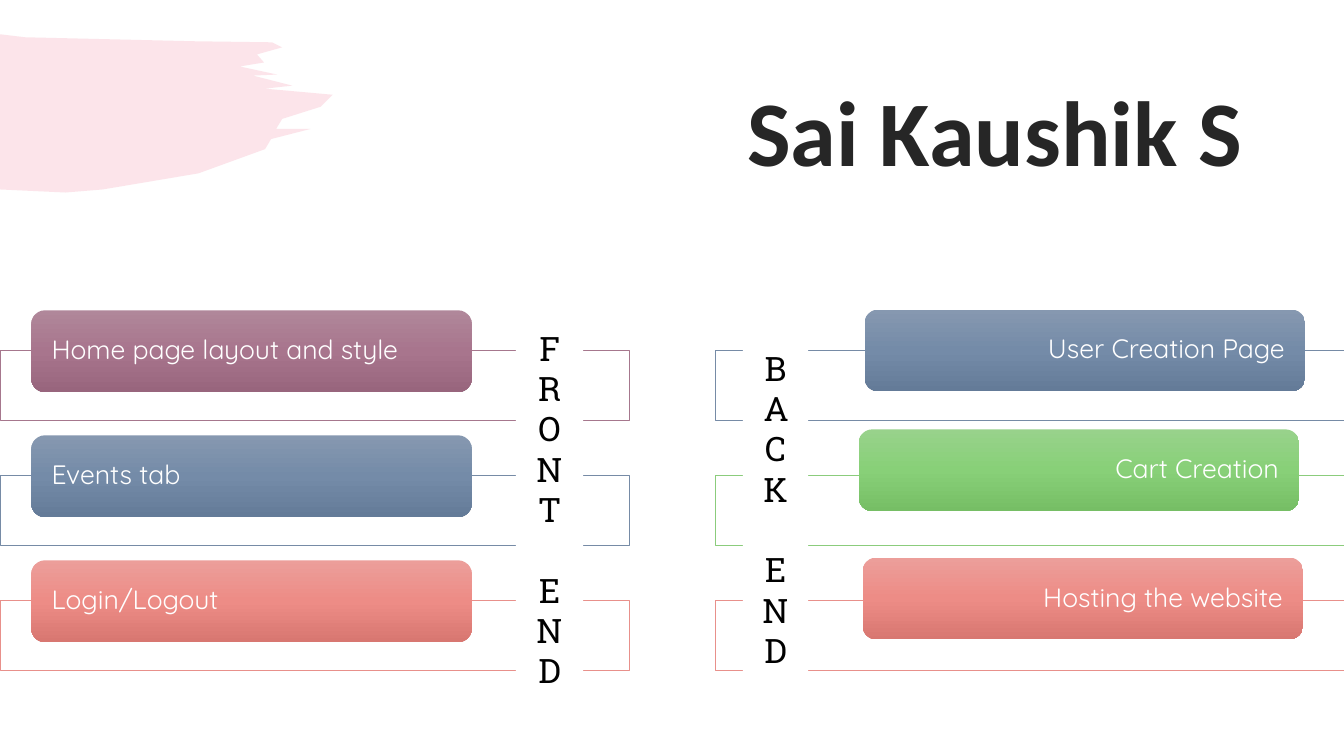
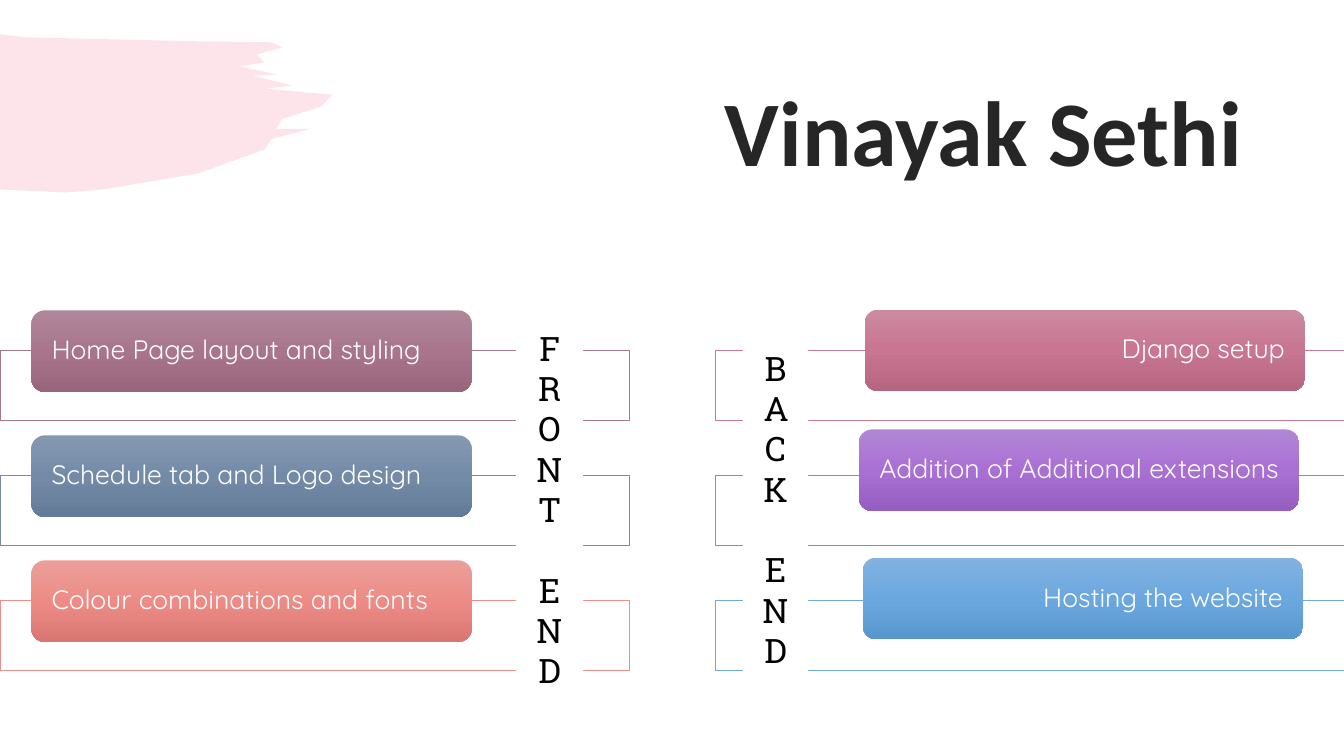
from copy import deepcopy
from dataclasses import dataclass, field
from typing import Any, NamedTuple

from lxml.etree import SubElement
from pptx import Presentation
from pptx.dml.color import RGBColor as RGB
from pptx.enum.shapes import MSO_SHAPE as Shape
from pptx.enum.text import MSO_ANCHOR as Anchor, MSO_AUTO_SIZE as AutoSize, PP_ALIGN as Align
from pptx.oxml.ns import qn
from pptx.util import Cm, Pt


class Tone(NamedTuple):
    line: str
    top: str
    middle: str
    bottom: str


class TextStyle(NamedTuple):
    name: str
    size: Pt
    color: str
    bold: bool = False


@dataclass(frozen=True)
class Theme:
    white: str = "FFFFFF"
    brush: str = "F07C98"
    title: TextStyle = TextStyle("Calibri", Pt(66), "262626", True)
    task: TextStyle = TextStyle("Quicksand", Pt(19), "FFFFFF")
    label: TextStyle = TextStyle("Roboto Slab", Pt(24), "000000")
    tones: dict[str, Tone] = field(default_factory=lambda: {
        "mauve": Tone("A6778D", "B0879A", "A8758D", "98657D"),
        "slate": Tone("768BA6", "8698B0", "748BA8", "647B98"),
        "coral": Tone("E8908B", "EC9E9A", "ED8C86", "D87771"),
        "green": Tone("8BCC7C", "98D28B", "88D078", "76BE65"),
        "rose": Tone("C47A93", "CB8A9F", "C87692", "B66580"),
        "violet": Tone("A975D0", "B286D6", "A970D4", "975EC2"),
        "blue": Tone("70A8DB", "82B2E0", "6BA8E0", "5896CE"),
    })


class Task(NamedTuple):
    text: str
    tone: str


class Side(NamedTuple):
    label: str
    label_left: float
    label_width: float
    band_left: float
    align: Align
    pills: list[tuple[float, float]]


class Member(NamedTuple):
    name: str
    front: list[Task]
    back: list[Task]


THEME = Theme()
BAND_TOP, BAND_PITCH, BAND_WIDTH, BAND_HEIGHT = 8.84, 3.15, 15.85, 1.75
PILL_WIDTH, PILL_HEIGHT = 11.1, 2.06
LABEL_TOP, LABEL_HEIGHT = 7.01, 11.63

FRONT = Side("FRONT END", 13.0, 1.7, 0, Align.LEFT,
             [(0.79, 7.82 + i * BAND_PITCH) for i in range(3)])
BACK = Side("BACK END", 18.72, 1.65, 18.03, Align.RIGHT,
            [(21.79, 7.8), (21.64, 10.82), (21.74, 14.05)])

MEMBERS = [
    Member("Sai Kaushik S",
           [Task("Home page layout and style", "mauve"), Task("Events tab", "slate"),
            Task("Login/Logout", "coral")],
           [Task("User Creation Page", "slate"), Task("Cart Creation", "green"),
            Task("Hosting the website", "coral")]),
    Member("Vinayak Sethi",
           [Task("Home Page layout and styling", "mauve"),
            Task("Schedule tab and Logo design", "slate"),
            Task("Colour combinations and fonts", "coral")],
           [Task("Django setup", "rose"), Task("Addition of Additional extensions", "violet"),
            Task("Hosting the website", "blue")]),
]

BRUSH_UNIT = Cm(0.0254)
BRUSH_TOP = 34
BRUSH_EDGE = [
    (25, 37), (194, 41), (270, 42), (280, 47), (255, 54), (262, 62), (238, 66),
    (275, 74), (251, 75), (290, 85), (263, 88), (330, 94), (318, 106), (280, 118),
    (274, 128), (308, 128), (269, 138), (263, 148), (197, 172), (102, 188), (65, 191), (0, 188),
]


def apply(target: Any, values: dict[str, Any]) -> None:
    for name, value in values.items():
        setattr(target, name, value)


def place(sp: Any, left: float, top: float, width: float, height: float) -> None:
    apply(sp, {"left": Cm(left), "top": Cm(top), "width": Cm(width), "height": Cm(height)})


def write(sp: Any, text: str, style: TextStyle, align: Align, frame: dict[str, Any]) -> None:
    tf = sp.text_frame
    apply(tf, {"word_wrap": True, **frame})
    p = tf.paragraphs[0]
    p.alignment = align
    r = p.add_run()
    r.text = text
    apply(r.font, {"name": style.name, "size": style.size, "bold": style.bold})
    r.font.color.rgb = RGB.from_string(style.color)


def fill_solid(sp: Any, color: str, opacity: int = 100) -> None:
    sp.fill.solid()
    sp.fill.fore_color.rgb = RGB.from_string(color)
    if opacity < 100:
        rgb = sp.element.spPr.find(f"{qn('a:solidFill')}/{qn('a:srgbClr')}")
        SubElement(rgb, qn("a:alpha")).set("val", str(opacity * 1000))


def fill_gradient(sp: Any, tone: Tone) -> None:
    sp.fill.gradient()
    sp.fill.gradient_angle = 270
    stops = sp.element.spPr.find(f"{qn('a:gradFill')}/{qn('a:gsLst')}")
    stops.insert(1, deepcopy(stops[0]))
    colors = (tone.top, tone.middle, tone.bottom)
    for i, (stop, color) in enumerate(zip(sp.fill.gradient_stops, colors)):
        stop.position = i / 2
        stop.color.rgb = RGB.from_string(color)


def add_brush(slide: Any, layout: Any) -> None:
    builder = slide.shapes.build_freeform(0, BRUSH_TOP, scale=BRUSH_UNIT)
    builder.add_line_segments(BRUSH_EDGE, close=True)
    sp = builder.convert_to_shape()
    sp.shadow.inherit = False
    sp.line.fill.background()
    fill_solid(sp, THEME.brush, 20)
    layout.shapes.element.insert(2, sp.element)


def add_band(shapes: Any, left: float, top: float, tone: Tone) -> None:
    sp = shapes.add_shape(Shape.RECTANGLE, Cm(left), Cm(top), Cm(BAND_WIDTH), Cm(BAND_HEIGHT))
    sp.shadow.inherit = False
    fill_solid(sp, THEME.white, 90)
    sp.line.color.rgb = RGB.from_string(tone.line)
    sp.line.width = Pt(0.5)


def add_pill(shapes: Any, left: float, top: float, task: Task, align: Align) -> None:
    sp = shapes.add_shape(Shape.ROUNDED_RECTANGLE, Cm(left), Cm(top),
                          Cm(PILL_WIDTH), Cm(PILL_HEIGHT))
    sp.shadow.inherit = False
    sp.line.fill.background()
    fill_gradient(sp, THEME.tones[task.tone])
    write(sp, task.text, THEME.task, align, {
        "vertical_anchor": Anchor.MIDDLE, "margin_left": Cm(0.41), "margin_right": Cm(0.41),
        "margin_top": 0, "margin_bottom": 0})
    sp.text_frame.paragraphs[0].line_spacing = 0.9


def add_side(slide: Any, side: Side, tasks: list[Task]) -> None:
    shapes = slide.shapes.add_group_shape().shapes
    for i, (task, (left, top)) in enumerate(zip(tasks, side.pills)):
        add_band(shapes, side.band_left, BAND_TOP + i * BAND_PITCH, THEME.tones[task.tone])
        add_pill(shapes, left, top, task, side.align)


def add_label(slide: Any, side: Side) -> None:
    sp = slide.shapes.add_textbox(Cm(side.label_left), Cm(LABEL_TOP),
                                  Cm(side.label_width), Cm(LABEL_HEIGHT))
    fill_solid(sp, THEME.white)
    write(sp, side.label, THEME.label, Align.CENTER, {"auto_size": AutoSize.SHAPE_TO_FIT_TEXT})
    sp.element.txBody.bodyPr.set("vert", "wordArtVert")


def add_title(slide: Any, text: str) -> None:
    sp = slide.shapes.title
    place(sp, 11.53, 1.73, 20.04, 3.07)
    write(sp, text, THEME.title, Align.RIGHT, {
        "vertical_anchor": Anchor.TOP, "auto_size": AutoSize.SHAPE_TO_FIT_TEXT})


def main() -> None:
    prs = Presentation()
    apply(prs, {"slide_width": Cm(33.87), "slide_height": Cm(19.05)})
    layout = prs.slide_layouts.get_by_name("Title Only")
    for i, member in enumerate(MEMBERS):
        slide = prs.slides.add_slide(layout)
        if i == 0:
            add_brush(slide, layout)
        add_title(slide, member.name)
        add_side(slide, FRONT, member.front)
        add_side(slide, BACK, member.back)
        for side in (FRONT, BACK):
            add_label(slide, side)
    prs.save("out.pptx")


if __name__ == "__main__":
    main()
